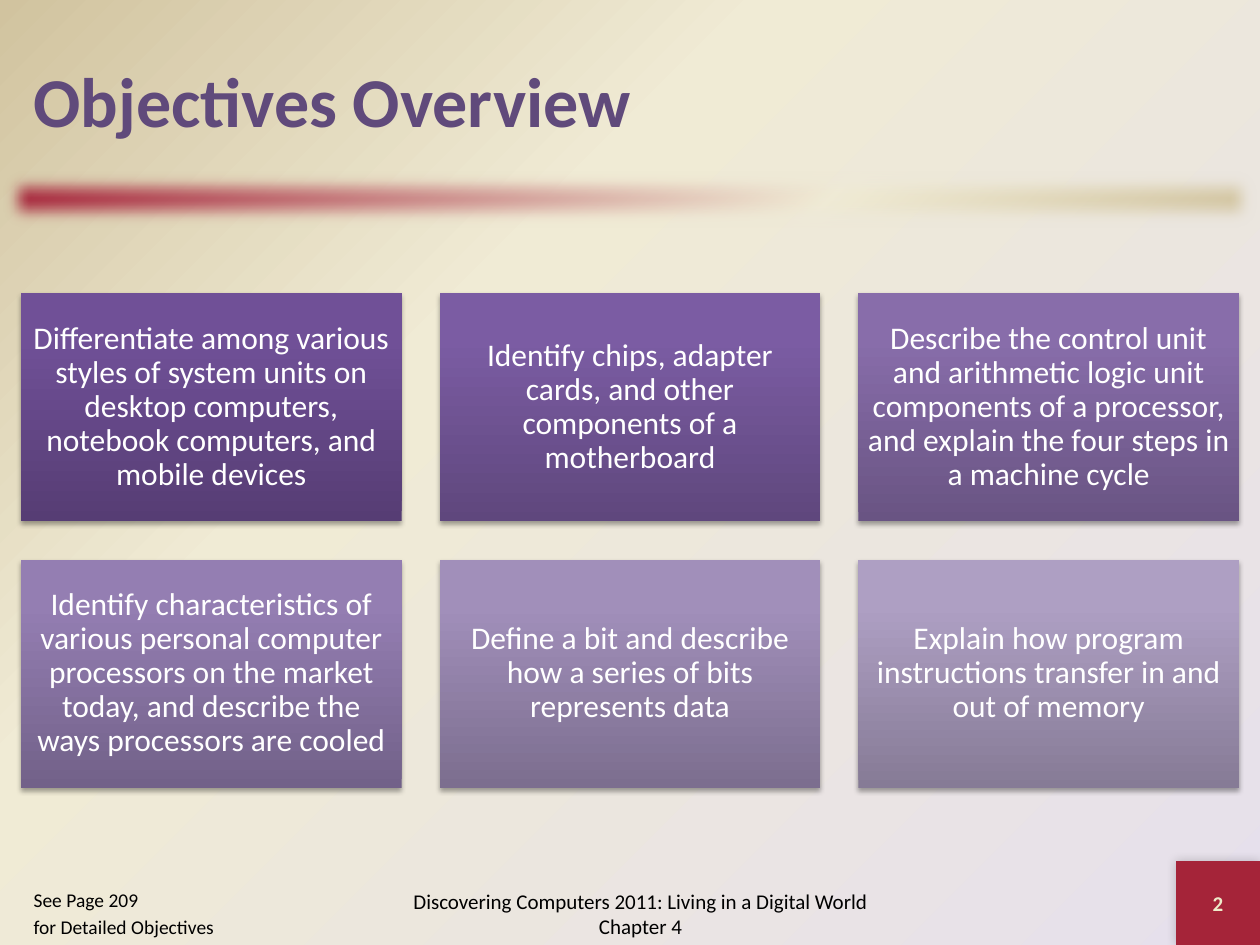
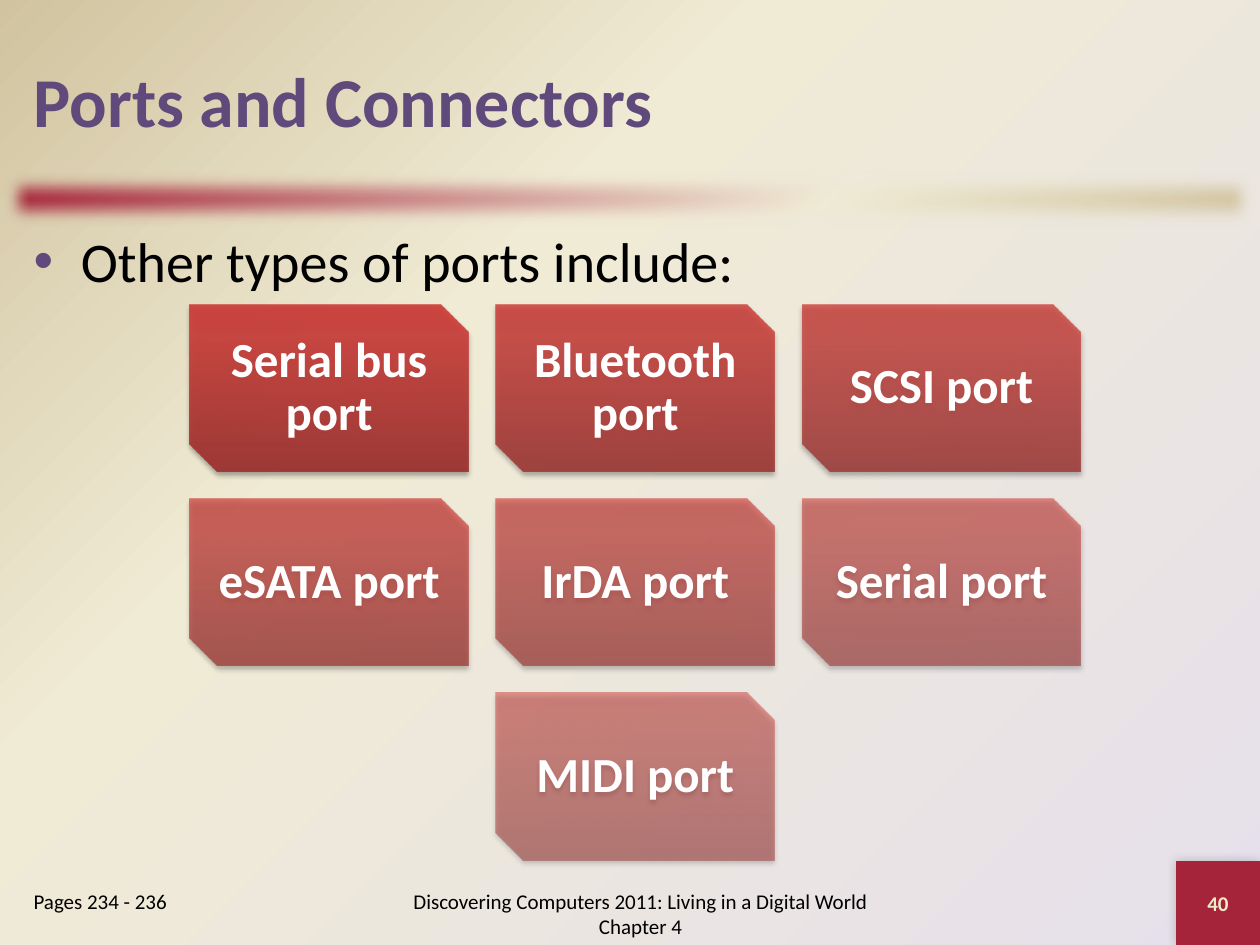
from dataclasses import dataclass

from pptx import Presentation
from pptx.dml.color import RGBColor as RGB
from pptx.enum.shapes import MSO_SHAPE as Kind
from pptx.enum.text import MSO_ANCHOR as Anchor, MSO_AUTO_SIZE as Fit, PP_ALIGN as Align
from pptx.oxml import parse_xml
from pptx.oxml.ns import nsdecls, qn
from pptx.util import Pt


@dataclass(frozen=True)
class Theme:
    font: str = "Calibri"
    black: str = "000000"
    white: str = "FFFFFF"
    cream: str = "EEEBCA"
    plum: str = "604A7B"
    ruby: str = "A52439"
    lilac: str = "E6E0EC"
    sand: str = "F0EBD5"
    tan: str = "D1C39F"
    reds: tuple = ("9C2F2D", "CB3E3A", "CE3B37")
    head: int = 40
    body: int = 32
    port: int = 28
    goal: int = 18
    foot: int = 12
    small: float = 11.1


T = Theme()
NS = nsdecls("a")
UP = '<a:lin {} ang="16200000" scaled="0"/>'
SLANT = '<a:lin {} ang="2700000" scaled="0"/>'
ROUND = '<a:path {} path="circle"><a:fillToRect l="100000" t="100000"/></a:path>'
SOFT = '<a:softEdge {} rad="127000"/>'
SHADE = ('<a:outerShdw {{}} blurRad="{}" dist="{}" dir="{}" rotWithShape="0">'
         '<a:srgbClr val="000000"><a:alpha val="{}"/></a:srgbClr></a:outerShdw>')
GLOW = SHADE.format(Pt(6), 0, 13500000, 20000)
DROP = SHADE.format(Pt(3.1), Pt(1.8), 5400000, 35000)


def paint(host, fill, tones, aim=None, effect=None, alpha=100):
    """Fill with one tone or with a list of stops; add an effect."""
    if aim is None:
        fill.solid()
        fill.fore_color.rgb = RGB.from_string(tones)
    else:
        fill.gradient()
        grad = host.element.find(".//" + qn("a:gradFill"))
        for old in list(grad):
            grad.remove(old)
        stops = "".join(
            f'<a:gs pos="{pos}000"><a:srgbClr val="{tone}">'
            f'<a:alpha val="{alpha * 1000:.0f}"/></a:srgbClr></a:gs>'
            for pos, tone in tones)
        grad.append(parse_xml(f"<a:gsLst {NS}>{stops}</a:gsLst>"))
        grad.append(parse_xml(aim.format(NS)))
    if effect:
        host.line.fill.background()
        host.shadow.inherit = False
        host.element.find(".//" + qn("a:effectLst")).append(parse_xml(effect.format(NS)))


def write(shape, lines, size, color, bold=False, align=Align.LEFT,
          anchor=Anchor.MIDDLE, space=1.0, bullet=None):
    frame = shape.text_frame
    frame.text = "\n".join(lines)
    frame.word_wrap = True
    frame.auto_size = Fit.NONE
    frame.vertical_anchor = anchor
    for n, para in enumerate(frame.paragraphs):
        para.alignment = align
        para.line_spacing = space
        para.space_before = Pt(0.2 * size if n else 0)
        if bullet:
            para._p.get_or_add_pPr().append(parse_xml(bullet))
        para.font.name = T.font
        para.font.size = Pt(size)
        para.font.bold = bold
        para.font.color.rgb = RGB.from_string(color)


# Slide texts
FOOT = "Discovering Computers 2011: Living in a Digital World Chapter 4"
goals = [
    ("Differentiate among various styles of system units on desktop computers, "
     "notebook computers, and mobile devices", ("563D74", "705097", "704F99")),
    ("Identify chips, adapter cards, and other components of a motherboard",
     ("5F477D", "7B5CA3", "7C5BA5")),
    ("Describe the control unit and arithmetic logic unit components of a processor, "
     "and explain the four steps in a machine cycle", ("695483", "886DAA", "886DAC")),
    ("Identify characteristics of various personal computer processors on the market "
     "today, and describe the ways processors are cooled", ("726189", "947EB2", "957EB4")),
    ("Define a bit and describe how a series of bits represents data",
     ("7C6E8F", "A18FBA", "A18FBC")),
    ("Explain how program instructions transfer in and out of memory",
     ("867B96", "AE9FC3", "AE9FC4")),
]
ports = [(name + " port", T.reds) for name in
         ("Serial bus", "Bluetooth", "SCSI", "eSATA", "IrDA", "Serial", "MIDI")]

# Grid: left, top, width, height, step across, step down
pages = [
    dict(title="Objectives Overview", lead=None, num="2", size=T.goal, bold=False,
         refs=["See Page 209", "for Detailed Objectives"], small=T.small,
         cells=goals, kind=Kind.RECTANGLE, pad=5, fade=(100, 100),
         grid=(12, 167.5, 217.5, 130.5, 239.25, 152.25)),
    dict(title="Ports and Connectors", lead="Other types of ports include:", num="40",
         size=T.port, bold=True, refs=["Pages 234 - 236"], small=T.foot,
         cells=ports, kind=Kind.SNIP_2_DIAG_RECTANGLE, pad=1, fade=(90, 50),
         grid=(108.5, 174, 159, 95.5, 175, 111)),
]

deck = Presentation()
deck.slide_width, deck.slide_height = Pt(720), Pt(540)
layout = deck.slide_layouts[3]
master = deck.slide_master

# Shared background
paint(master, master.background.fill, ((0, T.lilac), (65, T.sand), (100, T.tan)), ROUND)

for n, page in enumerate(pages):
    slide = deck.slides.add_slide(layout)
    shapes = slide.shapes

    # Shared band and number corner, kept on the layout
    if n == 0:
        band = shapes.add_shape(Kind.RECTANGLE, Pt(0), Pt(96), Pt(720), Pt(36))
        paint(band, band.fill, ((0, T.ruby), (65, T.sand), (100, T.tan)), SLANT, SOFT)
        corner = shapes.add_shape(Kind.RECTANGLE, Pt(672), Pt(492), Pt(48), Pt(48))
        paint(corner, corner.fill, T.ruby, effect=GLOW)
        for mark, part in enumerate((band, corner), 20):
            part.element.nvSpPr.cNvPr.id = mark
            layout.shapes.element.append(part.element)

    # Title, lead bullet and page reference
    title, lead, ref = slide.placeholders
    for hold, box in ((title, (12, 12, 696, 90)), (lead, (12, 126, 696, 366)),
                      (ref, (12, 504, 132, 36))):
        hold.left, hold.top, hold.width, hold.height = map(Pt, box)
    write(title, [page["title"]], T.head, T.plum, True)
    if page["lead"]:
        write(lead, [page["lead"]], T.body, T.black, anchor=Anchor.TOP,
              bullet=f'<a:buClr {NS}><a:srgbClr val="{T.plum}"/></a:buClr>')
    else:
        lead.element.getparent().remove(lead.element)
    write(ref, page["refs"], page["small"], T.black, anchor=Anchor.TOP,
          bullet=f"<a:buNone {NS}/>")
    for para in ref.text_frame.paragraphs:
        props = para._p.get_or_add_pPr()
        props.set("marL", "0")
        props.set("indent", "0")

    # Footer and slide number
    foot = shapes.add_textbox(Pt(216), Pt(504), Pt(300), Pt(36))
    write(foot, [FOOT], T.foot, T.black, align=Align.CENTER)
    num = shapes.add_textbox(Pt(672), Pt(492), Pt(48), Pt(48))
    write(num, [page["num"]], T.foot, T.cream, True, Align.CENTER)

    # Grid of cells, a lone last cell centred
    left, top, wide, high, across, down = page["grid"]
    cells = page["cells"]
    first, last = page["fade"]
    for i, (text, tones) in enumerate(cells):
        row, col = divmod(i, 3)
        shift = (3 - min(3, len(cells) - 3 * row)) / 2
        cell = shapes.add_shape(page["kind"], Pt(left + (col + shift) * across),
                                Pt(top + row * down), Pt(wide), Pt(high))
        alpha = first + (last - first) * i / (len(cells) - 1)
        paint(cell, cell.fill, zip((0, 80, 100), tones), UP, DROP, alpha)
        write(cell, [text], page["size"], T.white, page["bold"], Align.CENTER, space=0.9)
        frame = cell.text_frame
        frame.margin_left = frame.margin_right = Pt(page["pad"])
        frame.margin_top = frame.margin_bottom = Pt(page["pad"])

deck.save("out.pptx")
